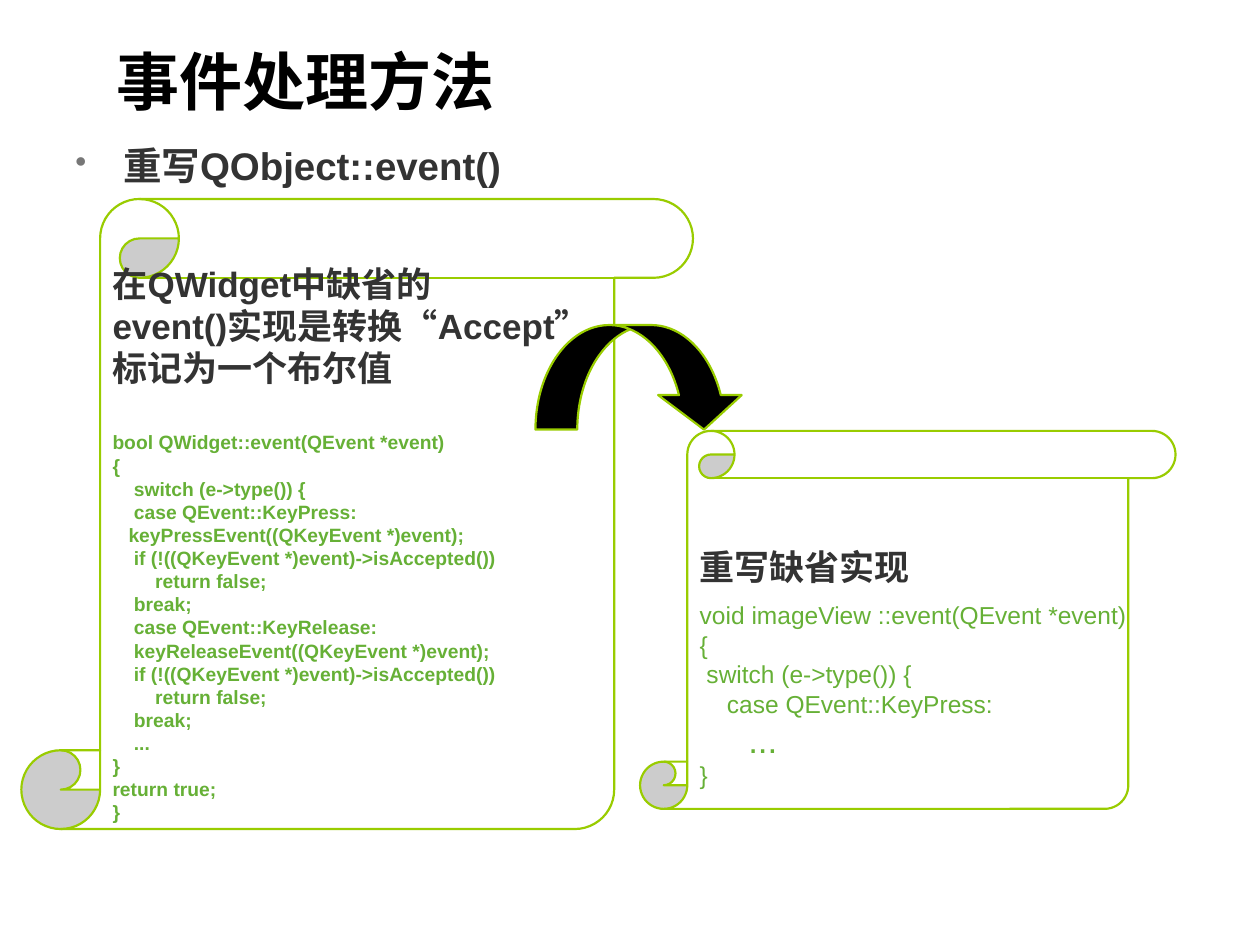
from lxml import etree
from pptx import Presentation, util as u
from pptx.dml.color import RGBColor
from pptx.enum import shapes, text
from pptx.oxml.ns import qn

INK, CODE, EDGE = "333333", "66B036", "99CC00"
LATIN, HAN = "Arial", "Noto Sans CJK SC"
HEADING = dict(size=20, colour=INK, bold=True)
SMALL_CODE = dict(size=11, colour=CODE, bold=True)
LARGE_CODE = dict(size=14, colour=CODE, bold=False)

DEFAULT_EXPLANATION = [
    [("在QWidget中缺省的", LATIN)],
    [("event()实现是转换", LATIN), ("“", HAN), ("Accept", LATIN), ("”", HAN)],
    [("标记为一个布尔值", LATIN)],
]
DEFAULT_CODE = """bool QWidget::event(QEvent *event)
{
    switch (e->type()) {
    case QEvent::KeyPress:
   keyPressEvent((QKeyEvent *)event);
    if (!((QKeyEvent *)event)->isAccepted())
        return false;
    break;
    case QEvent::KeyRelease:
    keyReleaseEvent((QKeyEvent *)event);
    if (!((QKeyEvent *)event)->isAccepted())
        return false;
    break;
    ...
}
return true;
}"""
OVERRIDE_CODE = """void imageView ::event(QEvent *event)
{
 switch (e->type()) {
    case QEvent::KeyPress:
     ...
}"""


def rgb(value):
    return RGBColor.from_string(value)


def set_values(target, values):
    for key, value in values.items():
        setattr(target, key, value)


def set_frame(frame, **values):
    set_values(frame, dict(word_wrap=True, vertical_anchor=text.MSO_ANCHOR.MIDDLE) | values)


def add_run(paragraph, words, size, colour, bold, face=LATIN):
    run = paragraph.add_run()
    run.text = words
    set_values(run.font, dict(size=u.Pt(size), bold=bold, name=face))
    run.font.color.rgb = rgb(colour)
    east_asian = etree.SubElement(run.font._element, qn("a:ea"))
    east_asian.set("typeface", HAN)


def add_bullet(paragraph, mark, colour, percent, indent):
    props = paragraph._p.get_or_add_pPr()
    props.set("marL", str(u.Inches(indent)))
    props.set("indent", str(-u.Inches(indent)))
    tint = etree.SubElement(props, qn("a:buClr"))
    etree.SubElement(tint, qn("a:srgbClr")).set("val", colour)
    etree.SubElement(props, qn("a:buSzPct")).set("val", str(percent * 1000))
    etree.SubElement(props, qn("a:buChar")).set("char", mark)


def add_line(frame, runs, style, leading=None, before=0):
    """Append one line of (words, face) runs; leading is the line height in points."""
    first = frame.paragraphs[0]
    paragraph = frame.add_paragraph() if first.runs else first
    set_values(paragraph, dict(
        alignment=text.PP_ALIGN.LEFT,
        line_spacing=u.Pt(leading or 1.2 * style["size"]),
    ))
    if before:
        paragraph.space_before = u.Pt(before)
    for words, face in runs:
        add_run(paragraph, words, face=face, **style)


def add_label(slide, box, words, style, **frame_values):
    frame = slide.shapes.add_textbox(*map(u.Inches, box)).text_frame
    set_frame(frame, **frame_values)
    add_run(frame.paragraphs[0], words, **style)
    return frame.paragraphs[0]


def add_outlined(slide, kind, box, fill, adjustments):
    shape = slide.shapes.add_shape(kind, *map(u.Inches, box))
    shape.shadow.inherit = False
    shape.fill.solid()
    shape.fill.fore_color.rgb = rgb(fill)
    shape.line.color.rgb = rgb(EDGE)
    shape.line.width = u.Pt(1.25)
    for index, value in enumerate(adjustments):
        shape.adjustments[index] = value
    return shape


def add_scroll(slide, box, top_margin):
    scroll = add_outlined(slide, shapes.MSO_SHAPE.VERTICAL_SCROLL, box, "FFFFFF", [0.125])
    set_frame(scroll.text_frame, word_wrap=False, margin_top=u.Inches(top_margin))
    return scroll.text_frame


def add_default_scroll(slide):
    frame = add_scroll(slide, (0.17, 1.58, 5.33, 5), 0.2)
    for runs in DEFAULT_EXPLANATION:
        add_line(frame, runs, HEADING)
    for index, code in enumerate(DEFAULT_CODE.splitlines()):
        add_line(frame, [(code, LATIN)], SMALL_CODE, before=0 if index else 24)


def add_override_scroll(slide):
    frame = add_scroll(slide, (5.08, 3.42, 4.25, 3), 0.62)
    add_line(frame, [("重写缺省实现", LATIN)], HEADING)
    for index, code in enumerate(OVERRIDE_CODE.splitlines()):
        dots = code.strip() == "..."
        style = LARGE_CODE | dict(size=20) if dots else LARGE_CODE
        add_line(frame, [(code, LATIN)], style, leading=None if index else 24)


def main():
    deck = Presentation()
    set_values(deck, dict(slide_width=u.Inches(10), slide_height=u.Inches(7.5)))
    slide = deck.slides.add_slide(deck.slide_layouts[6])

    add_label(slide, (0.83, 0.25, 8.67, 0.78), "事件处理方法",
              dict(size=36, colour="000000", bold=True))
    topic = add_label(slide, (0.5, 1.08, 9, 5.5), "重写QObject::event()",
                      dict(size=22, colour=INK, bold=True),
                      vertical_anchor=text.MSO_ANCHOR.TOP)
    add_bullet(topic, "•", "777777", 85, 0.38)

    add_default_scroll(slide)
    add_override_scroll(slide)
    add_outlined(slide, shapes.MSO_SHAPE.CURVED_DOWN_ARROW,
                 (4.25, 2.58, 1.67, 0.83), "000000", [0.4, 0.8, 0.33])
    deck.save("out.pptx")


if __name__ == "__main__":
    main()
